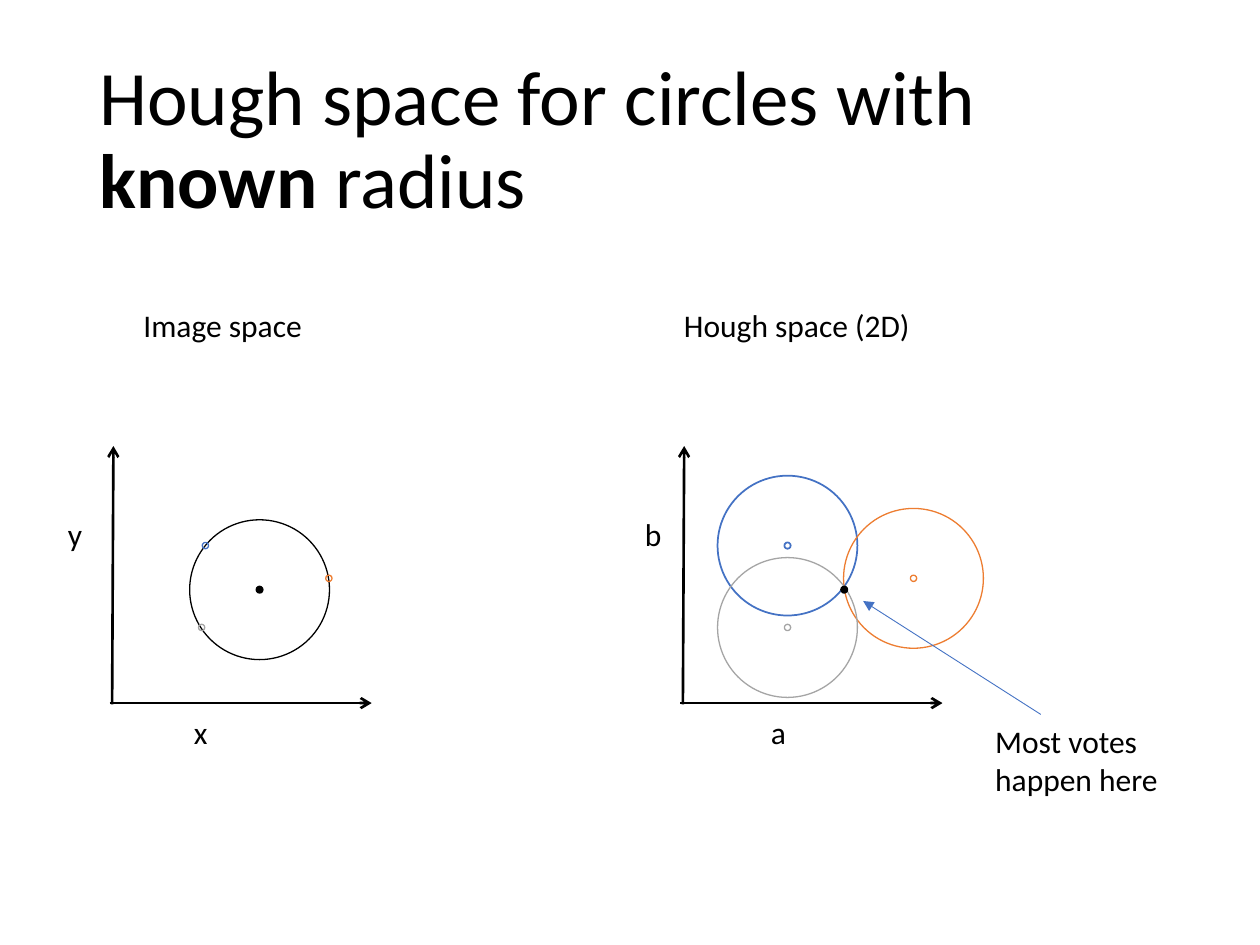
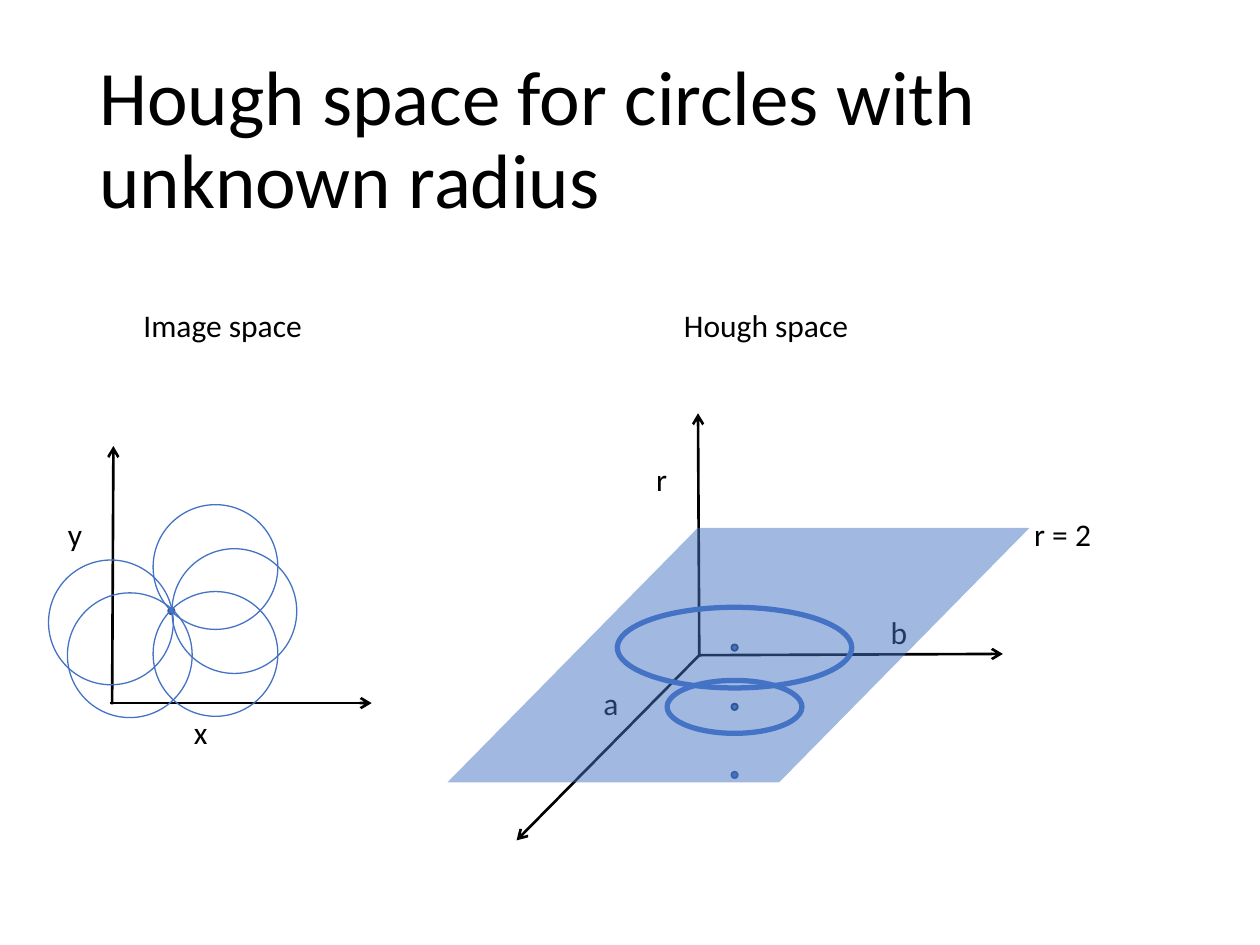
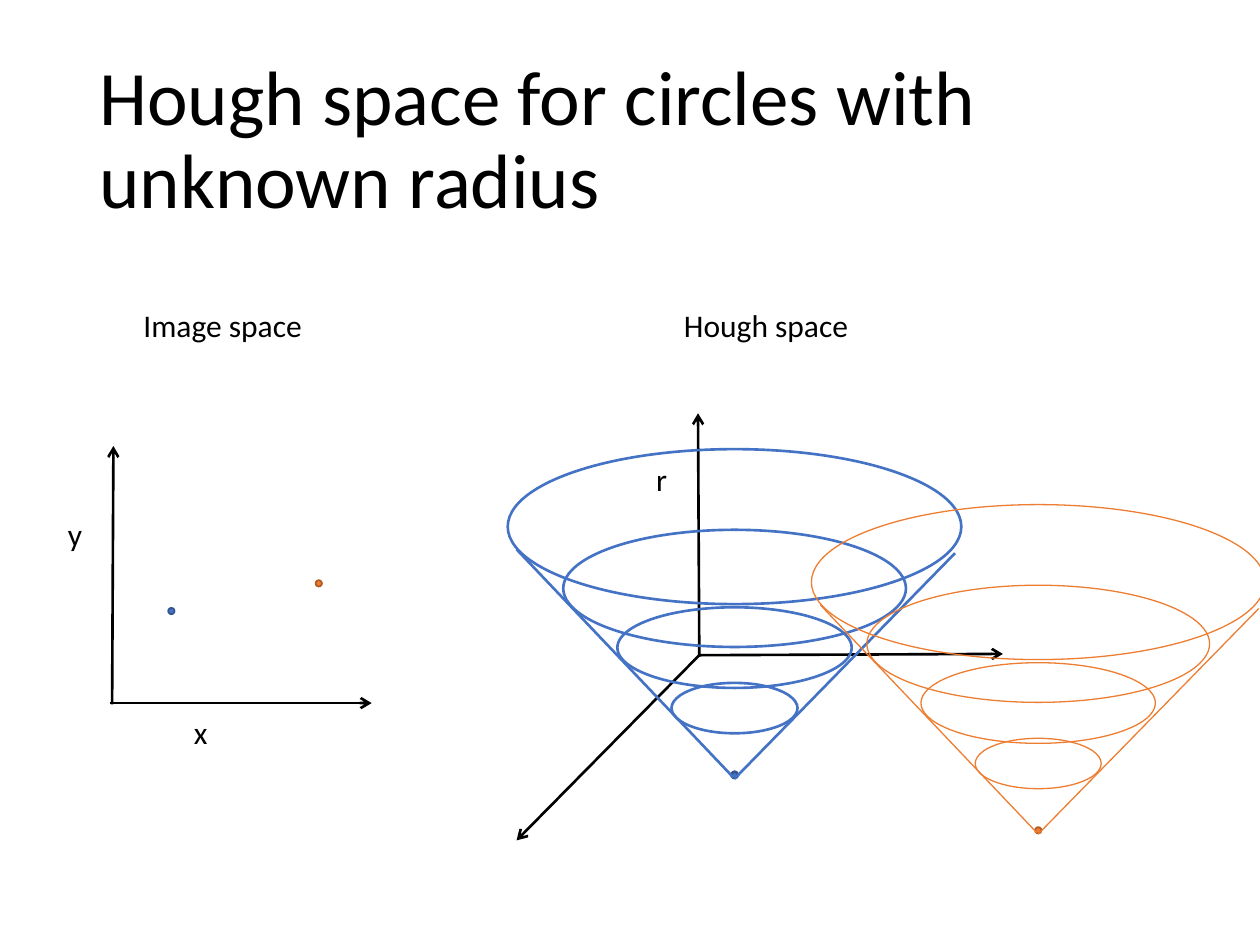
from typing import NamedTuple, Optional

from lxml.etree import SubElement
from pptx import Presentation
from pptx.dml.color import RGBColor
from pptx.enum.shapes import MSO_CONNECTOR, MSO_SHAPE
from pptx.enum.text import MSO_ANCHOR, MSO_AUTO_SIZE
from pptx.oxml.ns import qn
from pptx.util import Inches, Pt

FONT = "Calibri"
COLORS = {
    "black": "000000", "white": "FFFFFF", "blue": "4472C4", "navy": "325491",
    "orange": "ED7D31", "rust": "AF5C24", "gray": "A5A5A5",
}
DOT = 0.05


class Ring(NamedTuple):
    """An ellipse given by its centre."""
    x: float
    y: float
    wide: float
    high: float
    color: str
    weight: float = 0.75
    fill: Optional[str] = None


class Line(NamedTuple):
    x1: float
    y1: float
    x2: float
    y2: float
    color: str = "black"
    weight: float = 1.5
    head: Optional[str] = None


class Label(NamedTuple):
    text: str
    x: float
    y: float
    wide: float
    high: float = 0.4
    wrap: bool = False


def tint(name: str) -> RGBColor:
    return RGBColor.from_string(COLORS[name])


def add_text(slide, text: str, x: float, y: float, wide: float, high: float, *,
             size: float = 18, wrap: bool = False, spacing: Optional[float] = None,
             anchor=MSO_ANCHOR.TOP, fit=MSO_AUTO_SIZE.SHAPE_TO_FIT_TEXT) -> None:
    """Place text; parts between asterisks are bold."""
    box = slide.shapes.add_textbox(Inches(x), Inches(y), Inches(wide), Inches(high))
    frame = box.text_frame
    frame.word_wrap, frame.auto_size, frame.vertical_anchor = wrap, fit, anchor
    para = frame.paragraphs[0]
    if spacing:
        para.line_spacing = spacing
    for row, line in enumerate(text.split("\n")):
        if row:
            para.add_line_break()
        for part, words in enumerate(line.split("*")):
            run = para.add_run()
            run.text = words
            font = run.font
            font.name, font.size, font.bold = FONT, Pt(size), part % 2 == 1
            font.color.rgb = tint("black")


def add_label(slide, label: Label) -> None:
    add_text(slide, label.text, label.x, label.y, label.wide, label.high, wrap=label.wrap)


def add_ring(slide, ring: Ring) -> None:
    shape = slide.shapes.add_shape(
        MSO_SHAPE.OVAL, Inches(ring.x - ring.wide / 2), Inches(ring.y - ring.high / 2),
        Inches(ring.wide), Inches(ring.high))
    shape.shadow.inherit = False
    if ring.fill:
        shape.fill.solid()
        shape.fill.fore_color.rgb = tint(ring.fill)
    else:
        shape.fill.background()
    shape.line.color.rgb = tint(ring.color)
    shape.line.width = Pt(ring.weight)


def add_dot(slide, x: float, y: float, color: str, weight: float = 1,
            fill: Optional[str] = None) -> None:
    add_ring(slide, Ring(x, y, DOT, DOT, color, weight, fill))


def add_line(slide, line: Line) -> None:
    link = slide.shapes.add_connector(
        MSO_CONNECTOR.STRAIGHT, Inches(line.x1), Inches(line.y1),
        Inches(line.x2), Inches(line.y2))
    link.line.color.rgb = tint(line.color)
    link.line.width = Pt(line.weight)
    if line.head:
        SubElement(link.line._get_or_add_ln(), qn("a:tailEnd"), type=line.head)
    SubElement(link._element.spPr, qn("a:effectLst"))


def add_flat(slide, x: float) -> None:
    """Two upright axes, with the corner near x."""
    add_line(slide, Line(x + 0.02, 5.59, x + 0.03, 3.54, head="arrow"))
    add_line(slide, Line(x, 5.58, x + 2.08, 5.58, head="arrow"))


def add_deep(slide) -> None:
    """Three axes a, b and r of the Hough space."""
    for ends in ((5.54, 5.2, 7.96, 5.19), (5.56, 5.19, 4.1, 6.67), (5.55, 5.21, 5.54, 3.28)):
        add_line(slide, Line(*ends, head="arrow"))
    add_label(slide, Label("r", 5.11, 3.6, 0.34, wrap=True))


def add_plane(slide) -> None:
    """The half transparent plane of constant radius."""
    plane = slide.shapes.add_shape(
        MSO_SHAPE.PARALLELOGRAM, Inches(3.55), Inches(4.19), Inches(4.62), Inches(2.02))
    plane.adjustments[0] = 0.984
    plane.shadow.inherit = False
    plane.line.fill.background()
    plane.fill.solid()
    plane.fill.fore_color.rgb = tint("blue")
    shade = plane._element.spPr.find(qn("a:solidFill"))[0]
    SubElement(shade, qn("a:alpha"), val="50000")


def add_cone(slide, dx: float, dy: float, color: str, edge: str,
             weight: float, rim: float) -> None:
    """A cone of votes, moved by dx and dy."""
    add_dot(slide, 5.83 + dx, 6.15 + dy, edge, rim, color)
    for y, wide, high in ((5.14, 1.86, 0.64), (4.67, 2.72, 0.93),
                          (4.18, 3.6, 1.23), (5.62, 1, 0.4)):
        add_ring(slide, Ring(5.83 + dx, y + dy, wide, high, color, weight))
    for x1, y1, x2, y2 in ((5.82, 6.17, 4.1, 4.36), (5.83, 6.18, 7.58, 4.39)):
        add_line(slide, Line(x1 + dx, y1 + dy, x2 + dx, y2 + dy, color, weight))


def add_base(deck, title: str, right: str, wide: float):
    """A slide with the title, both headings and the image axes."""
    slide = deck.slides.add_slide(deck.slide_layouts[6])
    add_text(slide, title, 0.69, 0.4, 8.62, 1.45, size=44, wrap=True, spacing=0.9,
             anchor=MSO_ANCHOR.MIDDLE, fit=MSO_AUTO_SIZE.NONE)
    add_flat(slide, 0.87)
    for label in (Label("Image space", 1.04, 2.38, 1.47), Label(right, 5.33, 2.38, wide),
                  Label("x", 1.44, 5.61, 0.31), Label("y", 0.44, 4.04, 0.32)):
        add_label(slide, label)
    return slide


def draw_known(deck) -> None:
    slide = add_base(deck, "Hough space for circles with *known* radius",
                     "Hough space (2D)", 2.02)
    add_flat(slide, 5.4)
    add_label(slide, Label("a", 6.02, 5.61, 0.32))
    add_label(slide, Label("b", 5.02, 4.04, 0.34))
    # Circle in the image and its centre
    size = 1.11
    add_ring(slide, Ring(2.06, 4.68, size, size, "black"))
    add_dot(slide, 2.06, 4.68, "black", fill="black")
    # Each edge point votes for a circle
    for edge, x, y, color, weight, fill in (
            (1.63, 6.25, 4.33, "blue", 1, "white"),
            (2.61, 7.25, 4.59, "orange", 0.75, None),
            (1.6, 6.25, 4.98, "gray", 0.75, None)):
        add_ring(slide, Ring(x, y, size, size, color, weight, fill))
        add_dot(slide, x, y, color, weight, fill)
        add_dot(slide, edge, y, color, 0.75)
    # Common crossing
    add_dot(slide, 6.7, 4.68, "black", fill="black")
    add_line(slide, Line(8.26, 5.67, 6.85, 4.77, "blue", 0.5, "triangle"))
    add_label(slide, Label("Most votes\nhappen here", 7.8, 5.68, 1.51, 0.71))


def draw_plane(deck, title: str) -> None:
    slide = add_base(deck, title, "Hough space", 1.52)
    add_deep(slide)
    add_label(slide, Label("a", 4.69, 5.38, 0.32))
    add_label(slide, Label("b", 6.97, 4.82, 0.34, wrap=True))
    add_dot(slide, 1.36, 4.85, "navy", fill="blue")
    add_dot(slide, 5.83, 6.15, "navy", fill="blue")
    # Plane and the votes for two radii
    add_plane(slide)
    add_label(slide, Label("r = 2", 8.11, 4.04, 1.13, wrap=True))
    for y, wide, high in ((5.14, 1.86, 0.64), (5.61, 1.07, 0.42)):
        add_dot(slide, 5.83, y, "navy", fill="blue")
        add_ring(slide, Ring(5.83, y, wide, high, "blue", 3))
    # Circles through the edge point
    for x, y in ((1.71, 4.5), (1.86, 4.85), (1.71, 5.19), (1.03, 5.2), (0.88, 4.94)):
        add_ring(slide, Ring(x, y, 0.99, 0.99, "blue"))


def draw_cones(deck, title: str) -> None:
    slide = add_base(deck, title, "Hough space", 1.52)
    add_deep(slide)
    add_dot(slide, 1.36, 4.85, "navy", fill="blue")
    add_dot(slide, 2.53, 4.63, "rust", fill="orange")
    add_cone(slide, 0, 0, "blue", "navy", 1.5, 1.5)
    add_cone(slide, 2.41, 0.44, "orange", "rust", 0.75, 1)


def main() -> None:
    deck = Presentation()
    deck.slide_width, deck.slide_height = Inches(10), Inches(7.5)
    title = "Hough space for circles with unknown radius"
    draw_known(deck)
    draw_plane(deck, title)
    draw_cones(deck, title)
    deck.save("out.pptx")


if __name__ == "__main__":
    main()
